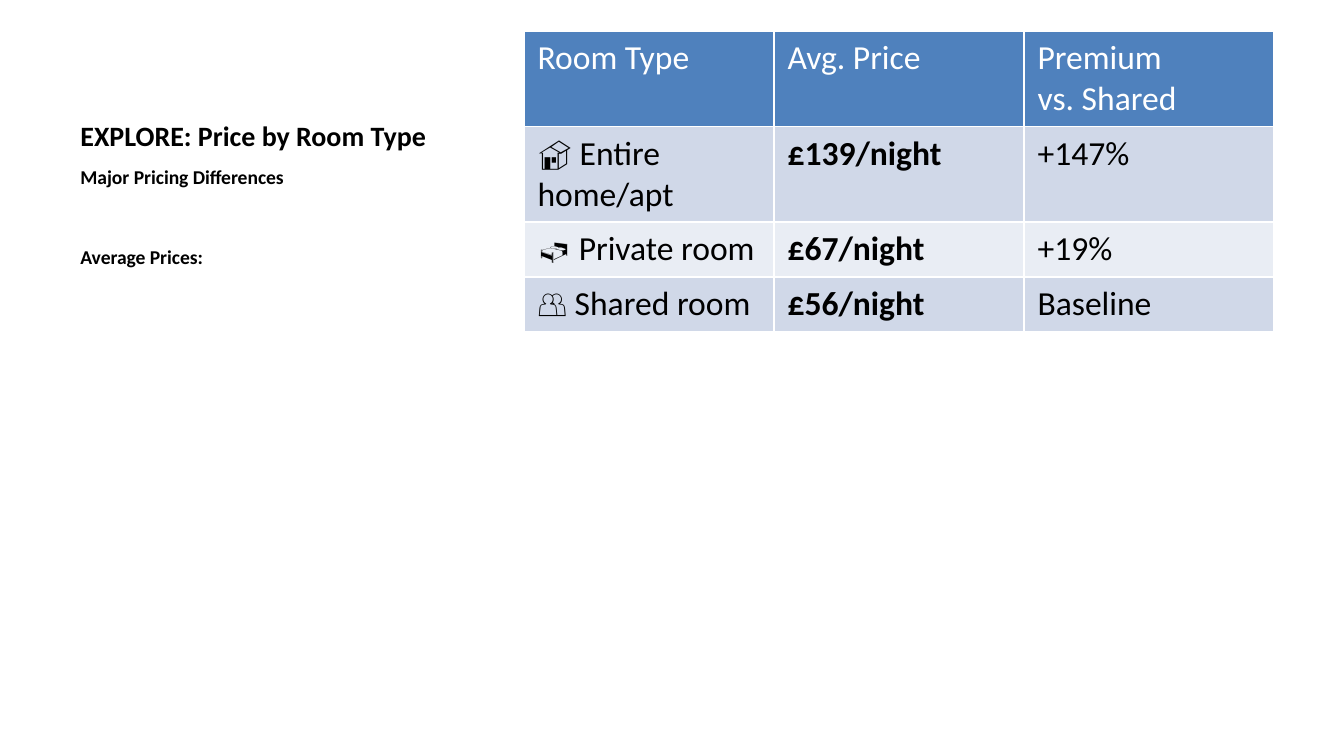
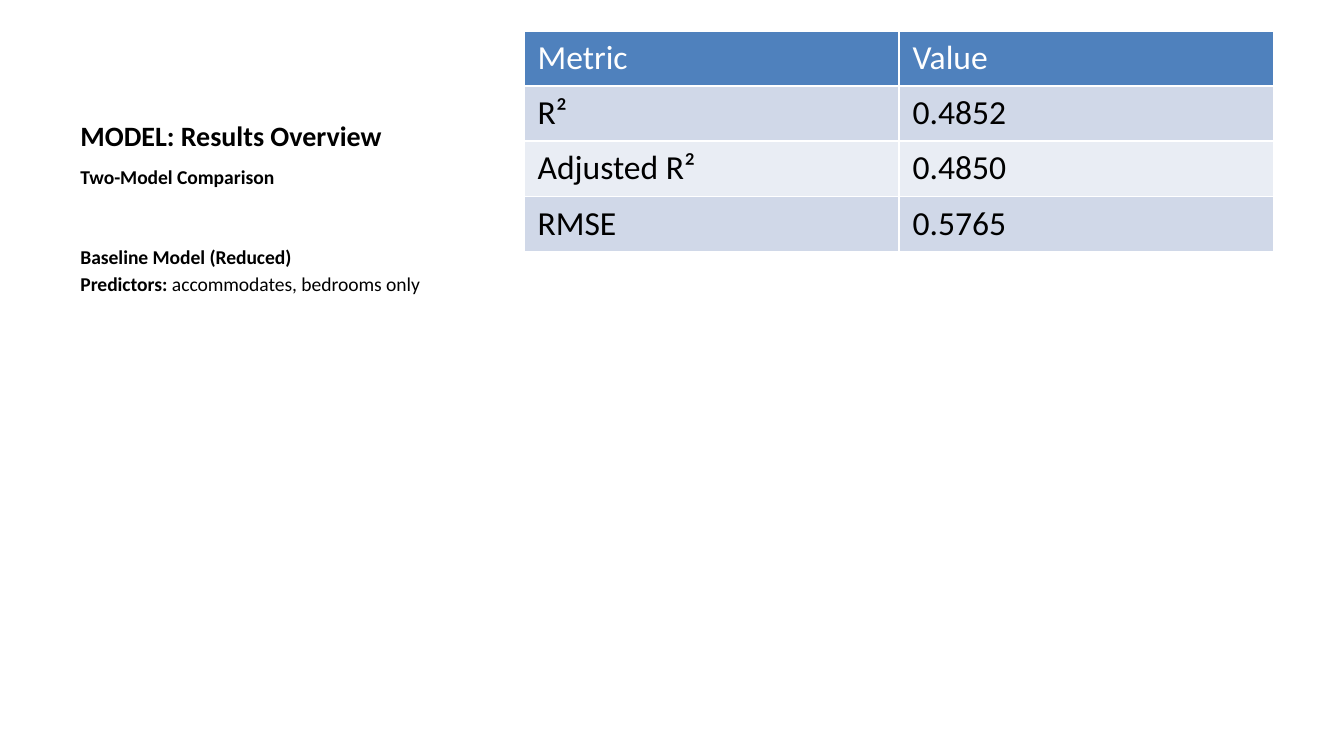
import pptx
import pptx.dml.color
import pptx.enum.text
import pptx.util

Inches = pptx.util.Inches
Pt = pptx.util.Pt
RGBColor = pptx.dml.color.RGBColor
MSO_ANCHOR = pptx.enum.text.MSO_ANCHOR

FONT = "Calibri"
BLACK = RGBColor(0x00, 0x00, 0x00)
WHITE = RGBColor(0xFF, 0xFF, 0xFF)
HEADER_BLUE = RGBColor(0x4F, 0x81, 0xBD)
BANDS = (RGBColor(0xD0, 0xD8, 0xE8), RGBColor(0xE9, 0xED, 0xF4))
HARD_SPACE = chr(160)

# Each note is (bold text, plain text, points of space before).
SLIDES = [
    {
        "title": "EXPLORE: Price by Room Type",
        "notes": [("Major Pricing Differences", "", 30), ("Average Prices:", "", 30)],
        "rows": [
            ("Room Type", "Avg. Price", f"Premium vs.{HARD_SPACE}Shared"),
            ("🏠 Entire home/apt", "£139/night", "+147%"),
            ("🛏️ Private room", "£67/night", "+19%"),
            ("👥 Shared room", "£56/night", "Baseline"),
        ],
        "bold_column": 1,
    },
    {
        "title": "MODEL: Results Overview",
        "notes": [
            ("Two-Model Comparison", "", 30),
            ("Baseline Model (Reduced)", "", 30),
            ("Predictors:", " accommodates, bedrooms only", 2.1),
        ],
        "rows": [
            ("Metric", "Value"),
            ("R²", "0.4852"),
            ("Adjusted R²", "0.4850"),
            ("RMSE", "0.5765"),
        ],
        "bold_column": None,
    },
]

TEXT_LEFT, TEXT_WIDTH = 0.5, 3.29
TITLE_TOP, TITLE_HEIGHT = 0.23, 0.95
NOTES_TOP, NOTES_HEIGHT = 1.18, 3.85
TABLE_LEFT, TABLE_WIDTH, ROW_HEIGHT = 3.9, 5.58, 0.4
CELL_BOTTOM_MARGIN = 0.06


def format_run(run, size, color=BLACK, bold=False):
    run.font.name = FONT
    run.font.size = Pt(size)
    run.font.color.rgb = color
    run.font.bold = bold


def add_text_frame(slide, top, height, anchor):
    box = slide.shapes.add_textbox(
        Inches(TEXT_LEFT), Inches(top), Inches(TEXT_WIDTH), Inches(height))
    box.text_frame.word_wrap = True
    box.text_frame.vertical_anchor = anchor
    return box.text_frame


def add_title(slide, title):
    text_frame = add_text_frame(slide, TITLE_TOP, TITLE_HEIGHT, MSO_ANCHOR.BOTTOM)
    text_frame.text = title
    format_run(text_frame.paragraphs[0].runs[0], 15, bold=True)


def add_notes(slide, notes):
    text_frame = add_text_frame(slide, NOTES_TOP, NOTES_HEIGHT, MSO_ANCHOR.TOP)
    text_frame.text = "\n".join(bold_text for bold_text, _, _ in notes)
    for paragraph, (_, plain_text, space) in zip(text_frame.paragraphs, notes):
        paragraph.space_before = Pt(space)
        format_run(paragraph.runs[0], 10.5, bold=True)
        if plain_text:
            run = paragraph.add_run()
            run.text = plain_text
            format_run(run, 10.5)


def add_table(slide, rows, bold_column):
    column_count = len(rows[0])
    table = slide.shapes.add_table(
        len(rows), column_count, Inches(TABLE_LEFT), Inches(TITLE_TOP),
        Inches(TABLE_WIDTH), Inches(ROW_HEIGHT * len(rows))).table
    for column in table.columns:
        column.width = Inches(TABLE_WIDTH / column_count)
    for row_index, values in enumerate(rows):
        is_header = row_index == 0
        fill = HEADER_BLUE if is_header else BANDS[(row_index - 1) % 2]
        for column_index, value in enumerate(values):
            cell = table.cell(row_index, column_index)
            cell.margin_bottom = Inches(CELL_BOTTOM_MARGIN)
            cell.fill.solid()
            cell.fill.fore_color.rgb = fill
            cell.text_frame.text = value
            format_run(cell.text_frame.paragraphs[0].runs[0], 18,
                       WHITE if is_header else BLACK,
                       not is_header and column_index == bold_column)


def main():
    presentation = pptx.Presentation()
    presentation.slide_width = Inches(10)
    presentation.slide_height = presentation.slide_width * 9 // 16
    for content in SLIDES:
        slide = presentation.slides.add_slide(presentation.slide_layouts[6])
        add_title(slide, content["title"])
        add_notes(slide, content["notes"])
        add_table(slide, content["rows"], content["bold_column"])
    presentation.save("out.pptx")


if __name__ == "__main__":
    main()
